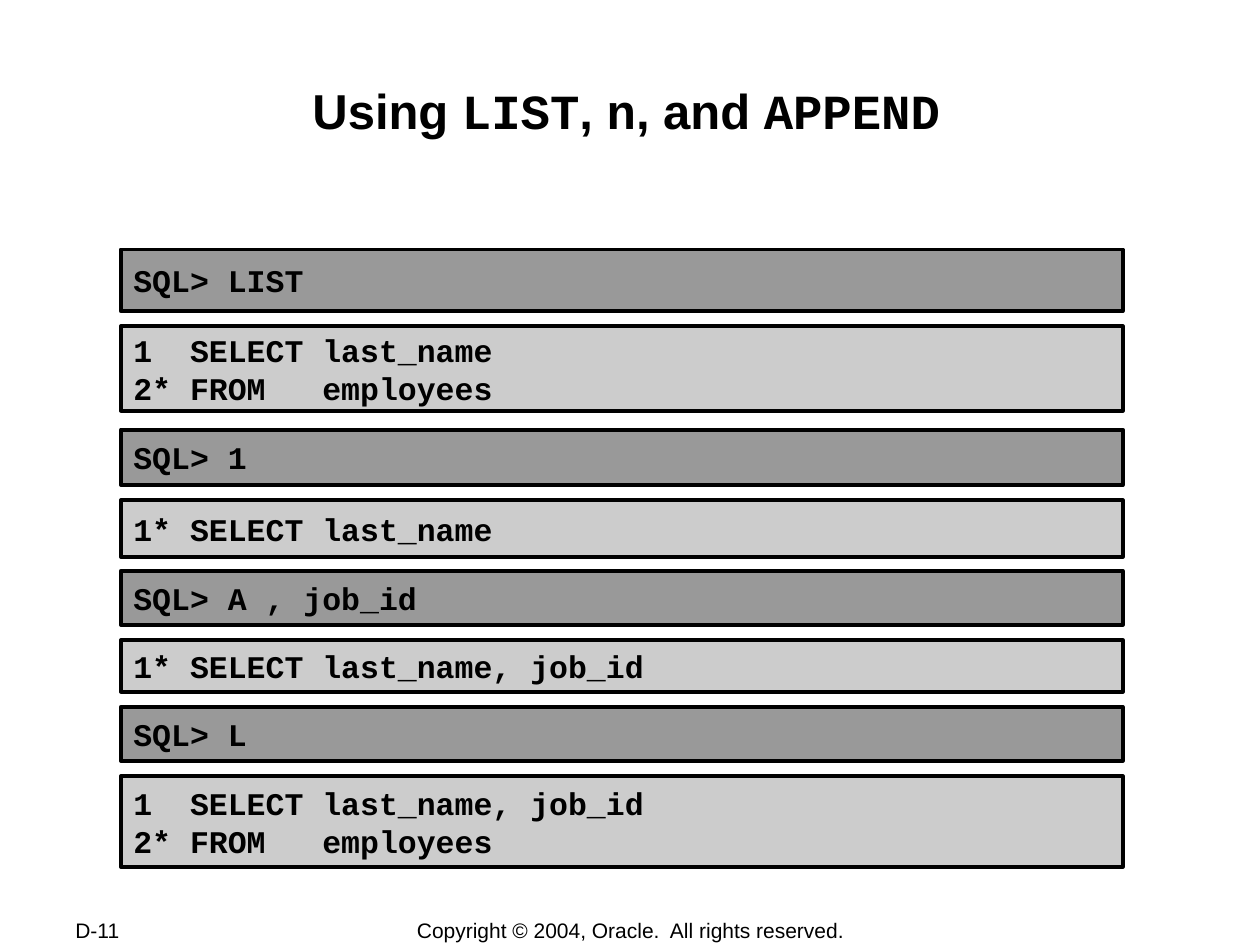
from dataclasses import dataclass

from pptx import Presentation
from pptx.dml.color import RGBColor
from pptx.enum.shapes import MSO_SHAPE as Shape
from pptx.enum.text import MSO_ANCHOR as Anchor, PP_ALIGN as Align
from pptx.util import Inches, Pt


@dataclass(frozen=True)
class Theme:
    ink: RGBColor = RGBColor(0x00, 0x00, 0x00)
    command: RGBColor = RGBColor(0x99, 0x99, 0x99)
    result: RGBColor = RGBColor(0xCC, 0xCC, 0xCC)
    sans: str = "Arial"
    mono: str = "Courier New"
    title_size: Pt = Pt(28)
    code_size: Pt = Pt(18)
    footer_size: Pt = Pt(12)
    border: Pt = Pt(2.25)


theme = Theme()


def style(font, name, size, bold):
    font.name = name
    font.size = size
    font.bold = bold
    font.color.rgb = theme.ink


deck = Presentation()
deck.slide_width, deck.slide_height = Inches(10), Inches(7.5)
page = deck.slides.add_slide(deck.slide_layouts[6])

# Footer
footers = [
    (0.5, 1.06, "D-11", Align.LEFT),
    (2.76, 4.49, "Copyright © 2004, Oracle.  All rights reserved.", Align.CENTER),
]
for left, width, text, align in footers:
    box = page.shapes.add_textbox(Inches(left), Inches(7.28), Inches(width), Inches(0.2))
    frame = box.text_frame
    frame.word_wrap = True
    frame.vertical_anchor = Anchor.MIDDLE
    para = frame.paragraphs[0]
    para.text = text
    para.alignment = align
    style(para.font, theme.sans, theme.footer_size, False)

# Title
box = page.shapes.add_textbox(Inches(0.97), Inches(0.63), Inches(8), Inches(0.91))
frame = box.text_frame
frame.word_wrap = True
frame.margin_left = frame.margin_right = Inches(0.01)
frame.margin_top = frame.margin_bottom = Inches(0.01)
para = frame.paragraphs[0]
para.alignment = Align.CENTER
title_parts = ["Using ", "LIST", ", ", "n", ", and ", "APPEND"]
for index, text in enumerate(title_parts):
    span = para.add_run()
    span.text = text
    style(span.font, theme.mono if index % 2 else theme.sans, theme.title_size, True)

# Session: commands and their results alternate
session = [
    (1.98, 0.49, ["SQL> LIST"]),
    (2.59, 0.67, ["1  SELECT last_name", "2* FROM   employees"]),
    (3.41, 0.44, ["SQL> 1"]),
    (3.97, 0.45, ["1* SELECT last_name"]),
    (4.53, 0.43, ["SQL> A , job_id"]),
    (5.08, 0.41, ["1* SELECT last_name, job_id"]),
    (5.61, 0.43, ["SQL> L"]),
    (6.16, 0.72, ["1  SELECT last_name, job_id", "2* FROM   employees"]),
]
for index, (top, height, lines) in enumerate(session):
    panel = page.shapes.add_shape(
        Shape.RECTANGLE, Inches(0.96), Inches(top), Inches(7.95), Inches(height))
    panel.shadow.inherit = False
    panel.fill.solid()
    panel.fill.fore_color.rgb = theme.result if index % 2 else theme.command
    panel.line.color.rgb = theme.ink
    panel.line.width = theme.border
    frame = panel.text_frame
    frame.word_wrap = True
    frame.vertical_anchor = Anchor.MIDDLE
    for number, line in enumerate(lines):
        para = frame.add_paragraph() if number else frame.paragraphs[0]
        para.text = line
        para.alignment = Align.LEFT
        style(para.font, theme.mono, theme.code_size, True)

deck.save("out.pptx")
